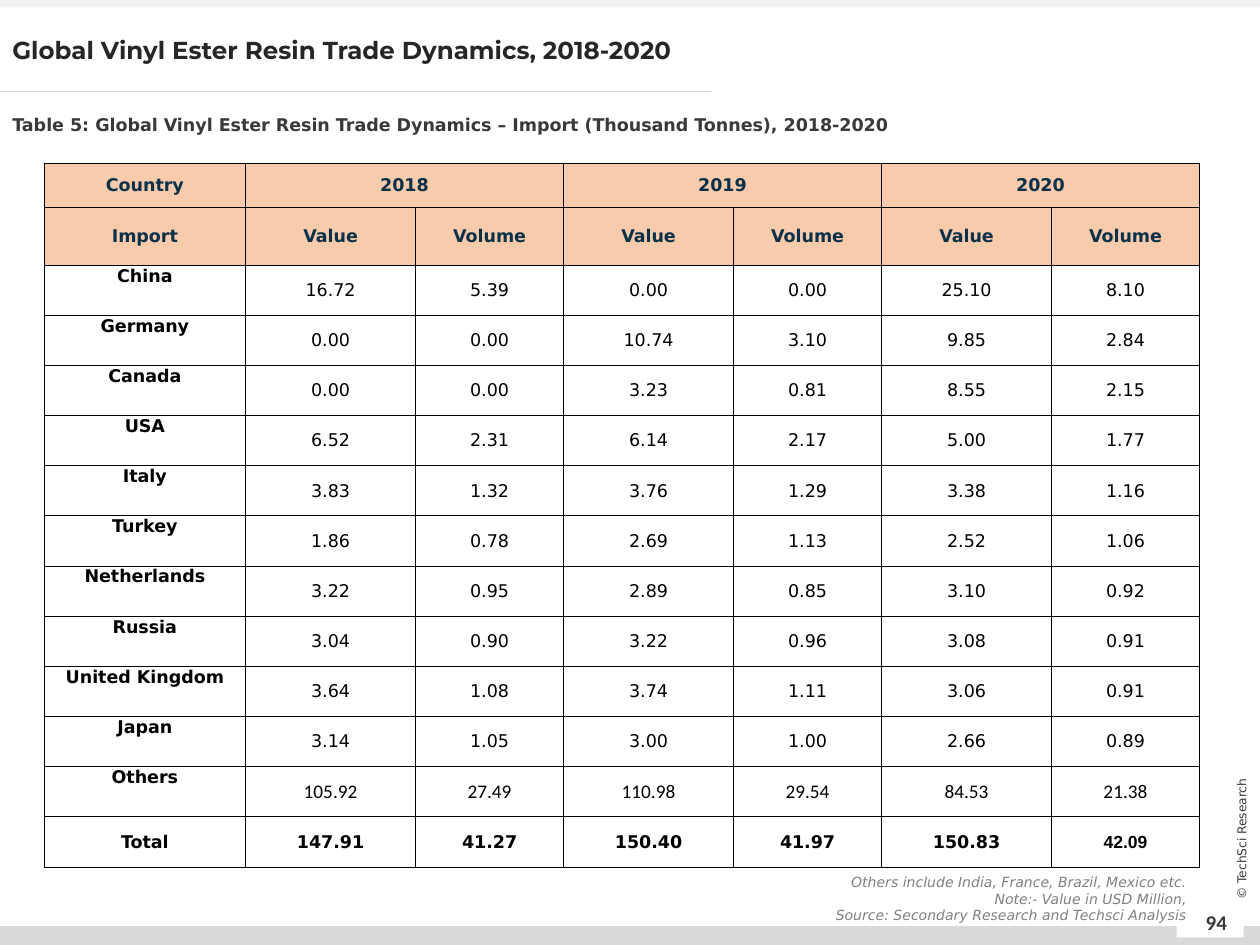
from lxml import etree
from pptx import Presentation
from pptx.dml.color import RGBColor
from pptx.enum.shapes import MSO_CONNECTOR, MSO_SHAPE
from pptx.enum.text import MSO_ANCHOR, PP_ALIGN
from pptx.oxml.ns import qn
from pptx.util import Cm, Pt

RECT, STRAIGHT = MSO_SHAPE.RECTANGLE, MSO_CONNECTOR.STRAIGHT
LEFT, CENTER, RIGHT = PP_ALIGN.LEFT, PP_ALIGN.CENTER, PP_ALIGN.RIGHT
TOP, MIDDLE = MSO_ANCHOR.TOP, MSO_ANCHOR.MIDDLE

COLORS = {
    "white": "FFFFFF", "black": "000000", "peach": "F8CBAD", "navy": "0B3049",
    "pale": "F2F2F2", "rule": "D9D9D9", "title": "262626", "dark": "3B3838",
    "note": "808080",
}
FONT = "DejaVu Sans"

BANDS = [
    ("rule", 0, 18.67, 25.4, 0.38),
    ("white", 23.72, 18.34, 1.35, 0.56),
    ("pale", 0, 0, 25.4, 0.15),
]

TEXTS = [
    {"lines": ["94"], "box": (23.9, 18.08, 1.24, 1.02), "align": CENTER, "anchor": MIDDLE,
     "font": {"size": Pt(12), "name": "Calibri", "bold": True}, "color": "dark"},
    {"lines": ["© TechSci Research"], "box": (23.5, 16.71, 3.05, 0.41), "align": CENTER,
     "anchor": MIDDLE, "rotation": 270, "wrap": False,
     "font": {"size": Pt(7), "name": FONT}, "color": "dark"},
    {"lines": ["Global Vinyl Ester Resin Trade Dynamics, 2018-2020"],
     "box": (0, 0.64, 19.69, 1.27), "spacing": 0.9,
     "font": {"size": Pt(14), "name": "Montserrat", "bold": True}, "color": "title"},
    {"lines": ["Table 5: Global Vinyl Ester Resin Trade Dynamics – Import (Thousand Tonnes), 2018-2020"],
     "box": (0, 1.96, 24.46, 0.81), "spacing": 1.5,
     "font": {"size": Pt(10), "name": FONT, "bold": True}, "color": "dark"},
    {"lines": ["Others include India, France, Brazil, Mexico etc.",
               "Note:- Value in USD Million,",
               "Source: Secondary Research and Techsci Analysis"],
     "box": (14.96, 17.48, 9.22, 1.27), "align": RIGHT,
     "font": {"size": Pt(8), "name": FONT, "italic": True}, "color": "note"},
]

YEARS = ["2018", "2019", "2020"]
MEASURES = ["Value", "Volume"]
IMPORTS = [
    ("China", "16.72", "5.39", "0.00", "0.00", "25.10", "8.10"),
    ("Germany", "0.00", "0.00", "10.74", "3.10", "9.85", "2.84"),
    ("Canada", "0.00", "0.00", "3.23", "0.81", "8.55", "2.15"),
    ("USA", "6.52", "2.31", "6.14", "2.17", "5.00", "1.77"),
    ("Italy", "3.83", "1.32", "3.76", "1.29", "3.38", "1.16"),
    ("Turkey", "1.86", "0.78", "2.69", "1.13", "2.52", "1.06"),
    ("Netherlands", "3.22", "0.95", "2.89", "0.85", "3.10", "0.92"),
    ("Russia", "3.04", "0.90", "3.22", "0.96", "3.08", "0.91"),
    ("United Kingdom", "3.64", "1.08", "3.74", "1.11", "3.06", "0.91"),
    ("Japan", "3.14", "1.05", "3.00", "1.00", "2.66", "0.89"),
    ("Others", "105.92", "27.49", "110.98", "29.54", "84.53", "21.38"),
    ("Total", "147.91", "41.27", "150.40", "41.97", "150.83", "42.09"),
]
TABLE_LEFT, TABLE_TOP, TABLE_HEIGHT = 0.89, 3.28, 14.2
HEADER_HEIGHTS = [0.89, 1.17]
COL_WIDTHS = [4.06] + [3.43, 2.98] * len(YEARS)


def rgb(name):
    return RGBColor.from_string(COLORS[name])


def set_attrs(target, values):
    for key, value in values.items():
        setattr(target, key, value)


def write(p, text, align, font, color):
    p.alignment = align
    r = p.add_run()
    r.text = text
    set_attrs(r.font, font)
    r.font.color.rgb = rgb(color)


def add_band(s, color, *box):
    sp = s.shapes.add_shape(RECT, *map(Cm, box))
    sp.shadow.inherit = False
    sp.fill.solid()
    sp.fill.fore_color.rgb = rgb(color)
    sp.line.fill.background()


def add_rule(s, x1, y1, x2, y2):
    line = s.shapes.add_connector(STRAIGHT, Cm(x1), Cm(y1), Cm(x2), Cm(y2))
    line.line.color.rgb = rgb("rule")
    line.line.width = Pt(0.5)
    etree.SubElement(line._element.spPr, qn("a:effectLst"))


def add_text(s, item):
    sp = s.shapes.add_textbox(*map(Cm, item["box"]))
    sp.rotation = item.get("rotation", 0)
    tf = sp.text_frame
    set_attrs(tf, {"word_wrap": item.get("wrap", True),
                   "vertical_anchor": item.get("anchor", TOP)})
    for i, line in enumerate(item["lines"]):
        p = tf.add_paragraph() if i else tf.paragraphs[0]
        p.line_spacing = item.get("spacing", 1.0)
        write(p, line, item.get("align", LEFT), item["font"], item["color"])


def add_borders(cell):
    tc_pr = cell._tc.get_or_add_tcPr()
    for side in ("a:lnL", "a:lnR", "a:lnT", "a:lnB"):
        ln = etree.SubElement(tc_pr, qn(side), w=str(Pt(0.25)))
        fill = etree.SubElement(ln, qn("a:solidFill"))
        etree.SubElement(fill, qn("a:srgbClr"), val=COLORS["black"])


def cell_style(row, col, last_row, last_col):
    header, total = row < len(HEADER_HEIGHTS), row == last_row
    font = {"size": Pt(10), "name": FONT, "bold": header or total or col == 0}
    if row == last_row - 1 and col > 0:
        font.update(size=Pt(11), name="Calibri")
    if total and col == last_col:
        font["name"] = "Arial"
    anchor = TOP if col == 0 and not (header or total) else MIDDLE
    return font, anchor, header


def add_import_table(s):
    year_row = ["Country"]
    for year in YEARS:
        year_row += [year, ""]
    rows = [year_row, ["Import"] + MEASURES * len(YEARS), *IMPORTS]
    body_height = (TABLE_HEIGHT - sum(HEADER_HEIGHTS)) / len(IMPORTS)
    heights = HEADER_HEIGHTS + [body_height] * len(IMPORTS)
    table = s.shapes.add_table(len(rows), len(COL_WIDTHS), Cm(TABLE_LEFT), Cm(TABLE_TOP),
                               Cm(sum(COL_WIDTHS)), Cm(TABLE_HEIGHT)).table
    for column, width in zip(table.columns, COL_WIDTHS):
        column.width = Cm(width)
    for i, values in enumerate(rows):
        table.rows[i].height = Cm(heights[i])
        for j, value in enumerate(values):
            cell = table.cell(i, j)
            font, anchor, header = cell_style(i, j, len(rows) - 1, len(values) - 1)
            set_attrs(cell, {"margin_left": Cm(0.02), "margin_right": Cm(0.02),
                             "margin_top": Cm(0.02), "margin_bottom": 0,
                             "vertical_anchor": anchor})
            add_borders(cell)
            cell.fill.solid()
            cell.fill.fore_color.rgb = rgb("peach" if header else "white")
            if value:
                write(cell.text_frame.paragraphs[0], value, CENTER, font,
                      "navy" if header else "black")
    for j in range(1, len(COL_WIDTHS), len(MEASURES)):
        table.cell(0, j).merge(table.cell(0, j + 1))


def main():
    prs = Presentation()
    prs.slide_width, prs.slide_height = Cm(25.4), Cm(19.05)
    s = prs.slides.add_slide(prs.slide_layouts[6])
    for band in BANDS:
        add_band(s, *band)
    add_rule(s, 0, 1.84, 14.34, 1.84)
    add_import_table(s)
    for item in TEXTS:
        add_text(s, item)
    prs.save("out.pptx")


if __name__ == "__main__":
    main()
